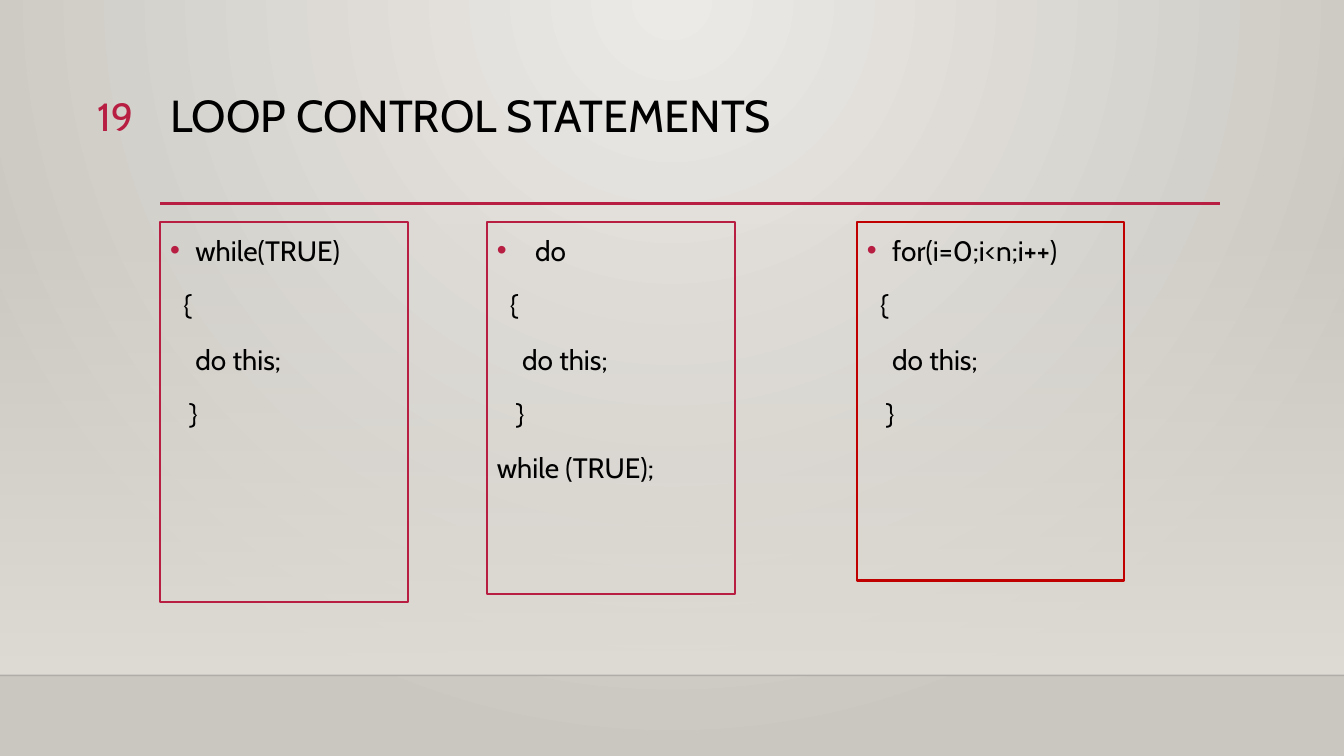
import pptx
import pptx.util
import pptx.dml.color
import pptx.enum.shapes
import pptx.enum.text
import pptx.oxml
import pptx.oxml.ns
from pptx.util import Inches

COLORS = {
    "ink": "000000",
    "accent": "B71E42",
    "red": "C00000",
    "glow": "ECEAE7",
    "edge": "CAC7C1",
    "wall": "DFDBD5",
    "floor_line": "000001",
}
FONT = "Cabin"
WIDTH, HEIGHT = 13.33, 7.5
RADIAL = '<a:path path="circle"><a:fillToRect l="43000" r="43000" b="100000"/></a:path>'
DOWNWARD = '<a:lin ang="5400000" scaled="0"/>'


def rgb(name):
    return pptx.dml.color.RGBColor.from_string(COLORS[name])


def xml(tag, content="", attributes=""):
    return pptx.oxml.parse_xml(
        f'<a:{tag} {pptx.oxml.ns.nsdecls("a")} {attributes}>{content}</a:{tag}>')


def set_gradient(parent, stops, direction):
    """Replace the gradient in parent; stops are (percent, colour, opacity percent)."""
    stop_xml = "".join(
        f'<a:gs pos="{position * 1000}"><a:srgbClr val="{COLORS[color]}">'
        f'<a:alpha val="{opacity * 1000}"/></a:srgbClr></a:gs>'
        for position, color, opacity in stops)
    old = parent.find(pptx.oxml.ns.qn("a:gradFill"))
    parent.replace(old, xml("gradFill", f"<a:gsLst>{stop_xml}</a:gsLst>{direction}",
                            'rotWithShape="1"'))


def write(paragraph, text, size=20, color="ink", align="LEFT", spacing=1.0,
          before=0, indent=0, bullet=False):
    """Fill a paragraph; a bullet hangs to the left of the indent."""
    run = paragraph.add_run()
    run.text = text
    run.font.name = FONT
    run.font.size = pptx.util.Pt(size)
    run.font.color.rgb = rgb(color)
    paragraph.alignment = getattr(pptx.enum.text.PP_ALIGN, align)
    paragraph.line_spacing = spacing
    paragraph.space_before = pptx.util.Pt(before)
    properties = paragraph._p.get_or_add_pPr()
    properties.set("marL", str(Inches(indent)))
    properties.set("indent", str(-Inches(indent) if bullet else 0))
    if bullet:
        properties.append(xml("buClr", f'<a:srgbClr val="{COLORS["accent"]}"/>'))
        properties.append(xml("buFont", attributes='typeface="Arial"'))
        properties.append(xml("buChar", attributes='char="•"'))
    else:
        properties.append(xml("buNone"))


class SlideBuilder:
    """Holds the slide and draws its elements in one style."""

    def __init__(self, slide):
        self.slide = slide

    def background(self):
        fill = self.slide.background.fill
        fill.gradient()
        set_gradient(self.slide.background._cSld.bg.bgPr,
                     [(0, "glow", 100), (100, "edge", 100)], RADIAL)

    def rectangle(self, left, top, width, height):
        shape = self.slide.shapes.add_shape(
            pptx.enum.shapes.MSO_SHAPE.RECTANGLE,
            Inches(left), Inches(top), Inches(width), Inches(height))
        shape.shadow.inherit = False
        return shape

    def wall(self, top, height):
        wall = self.rectangle(0, top, WIDTH, height)
        wall.line.fill.background()
        wall.fill.gradient()
        set_gradient(wall._element.spPr, [(0, "wall", 0), (100, "wall", 100)], DOWNWARD)

    def rule(self, left, right, y, color, weight, opacity=100):
        rule = self.slide.shapes.add_connector(
            pptx.enum.shapes.MSO_CONNECTOR.STRAIGHT,
            Inches(left), Inches(y), Inches(right), Inches(y))
        rule.line.color.rgb = rgb(color)
        rule.line.width = pptx.util.Pt(weight)
        if opacity < 100:
            line_color = rule.line._ln.find(".//" + pptx.oxml.ns.qn("a:srgbClr"))
            line_color.append(xml("alpha", attributes=f'val="{opacity * 1000}"'))
        rule._element.spPr.append(xml("effectLst"))

    def label(self, left, top, width, height, text, **text_format):
        box = self.slide.shapes.add_textbox(
            Inches(left), Inches(top), Inches(width), Inches(height))
        box.text_frame.word_wrap = True
        write(box.text_frame.paragraphs[0], text, **text_format)

    def code_box(self, left, width, height, color, lines):
        """Draw a framed loop; lines are (text, indent), the first one bulleted."""
        box = self.rectangle(left, 2.2, width, height)
        box.fill.background()
        box.line.color.rgb = rgb(color)
        box.line.width = pptx.util.Pt(1.5)
        frame = box.text_frame
        frame.word_wrap = True
        frame.vertical_anchor = pptx.enum.text.MSO_ANCHOR.TOP
        for number, (text, indent) in enumerate(lines):
            paragraph = frame.add_paragraph() if number else frame.paragraphs[0]
            write(paragraph, text, spacing=1.2, before=10, indent=indent,
                  bullet=number == 0)


def main():
    deck = pptx.Presentation()
    deck.slide_width, deck.slide_height = Inches(WIDTH), Inches(HEIGHT)
    builder = SlideBuilder(deck.slides.add_slide(deck.slide_layouts[6]))

    builder.background()
    builder.wall(2.21, 4.49)
    builder.rule(0, WIDTH, 6.7, "floor_line", 1, opacity=20)
    builder.rule(1.59, 12.1, 2.02, "accent", 2.5)
    builder.label(1.59, 0.88, 10.5, 1.15, "LOOP CONTROL STATEMENTS", size=32, spacing=0.9)
    builder.label(0.53, 0.87, 0.89, 0.55, "19", size=28, color="accent", align="RIGHT")

    loop_body = [("{", 0.13), ("do this;", 0.25), ("}", 0.19)]
    builder.code_box(1.59, 2.46, 3.77, "accent", [("while(TRUE)", 0.25), *loop_body])
    builder.code_box(4.83, 2.46, 3.69, "accent",
                     [("do", 0.38), *loop_body, ("while (TRUE);", 0)])
    builder.code_box(8.5, 2.65, 3.56, "red", [("for(i=0;i<n;i++)", 0.25), *loop_body])

    deck.save("out.pptx")


if __name__ == "__main__":
    main()
